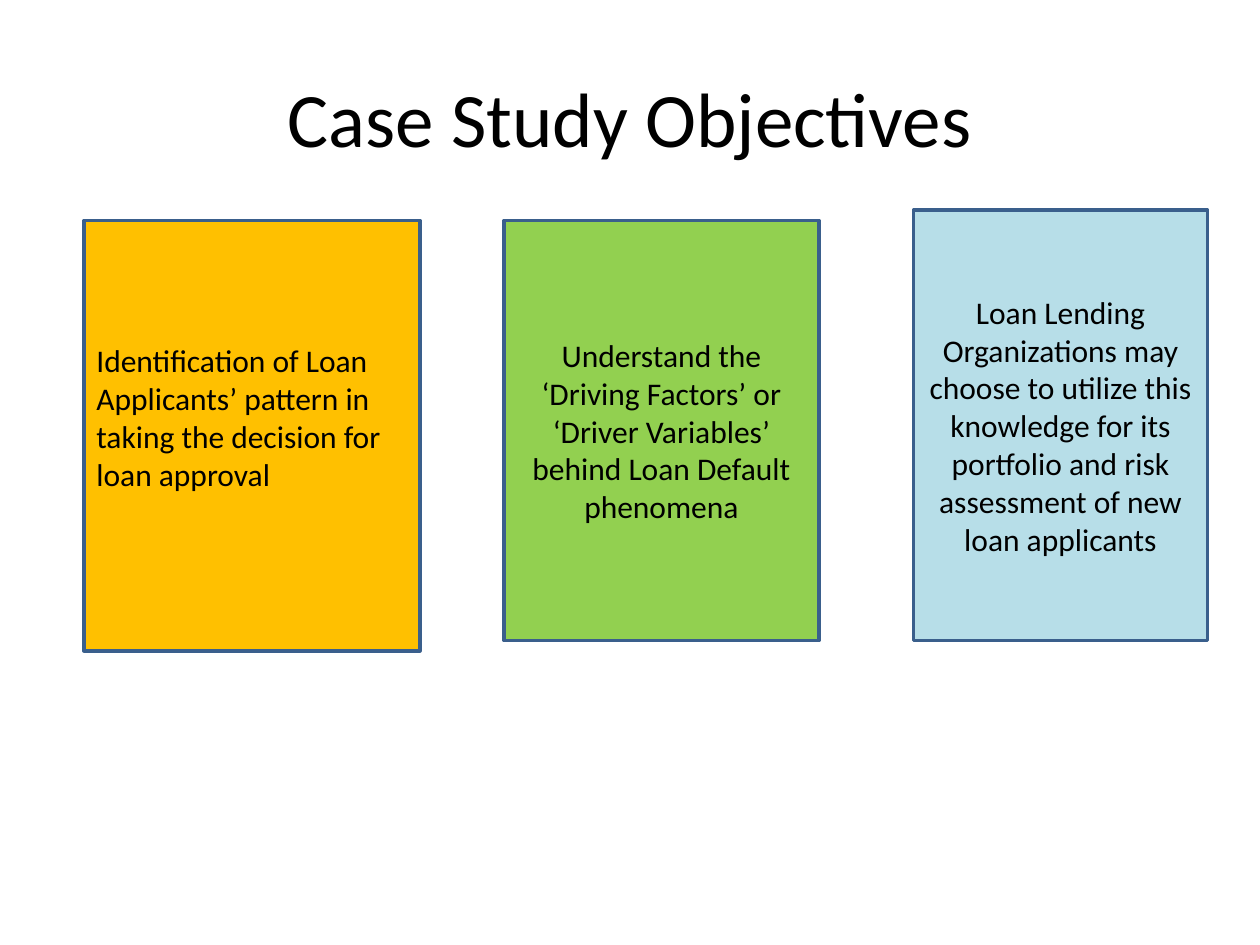
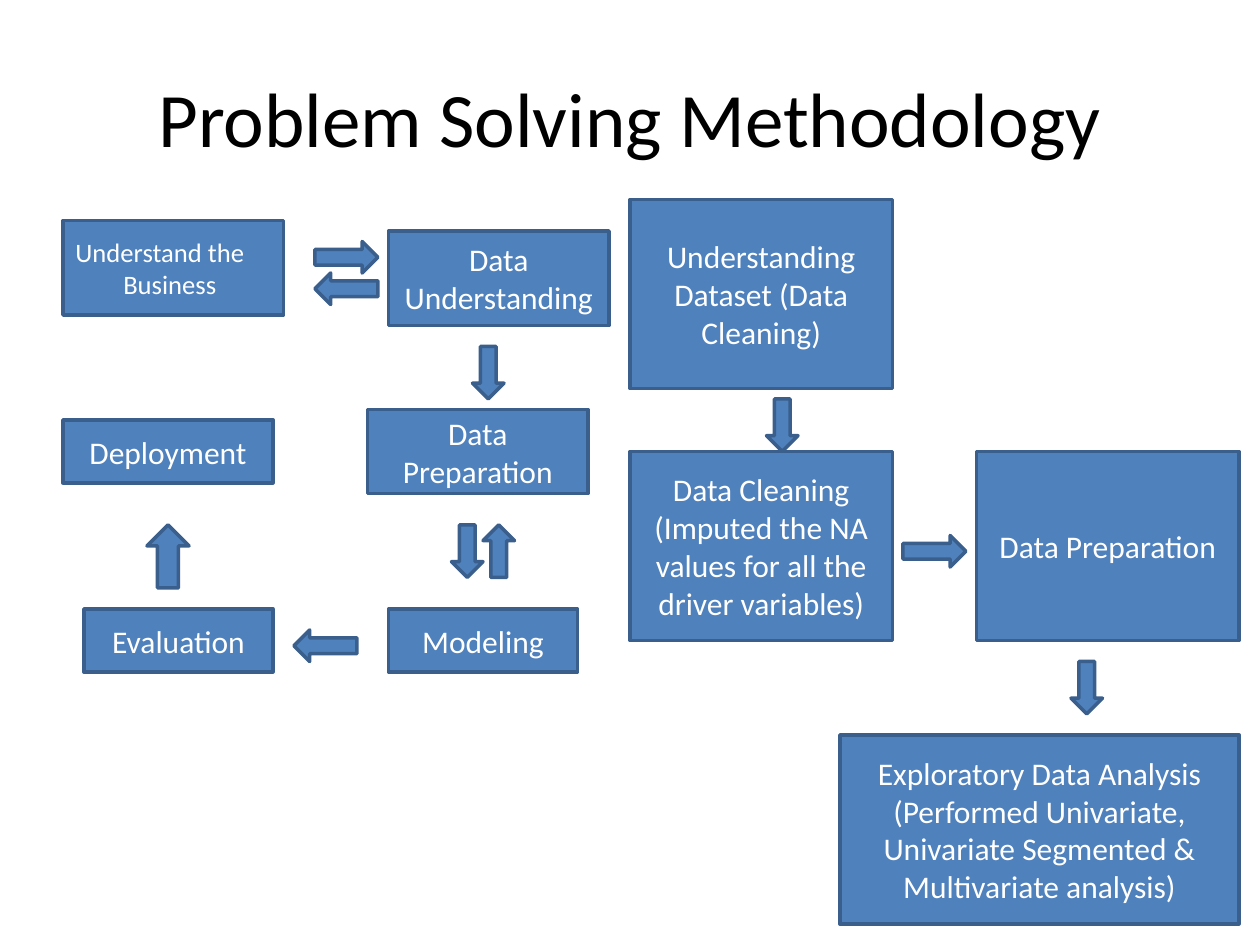
from pptx import Presentation
from pptx.dml.color import RGBColor
from pptx.enum.shapes import MSO_SHAPE
from pptx.enum.text import MSO_ANCHOR, PP_ALIGN
from pptx.util import Inches, Pt

BLACK = RGBColor(0x00, 0x00, 0x00)
WHITE = RGBColor(0xFF, 0xFF, 0xFF)
BLUE = RGBColor(0x4F, 0x81, 0xBD)
EDGE = RGBColor(0x3A, 0x5F, 0x8C)
AMBER = RGBColor(0xFF, 0xC0, 0x00)
GREEN = RGBColor(0x92, 0xD0, 0x50)
AQUA = RGBColor(0xB7, 0xDE, 0xE8)
RECT = MSO_SHAPE.RECTANGLE
RIGHT = MSO_SHAPE.RIGHT_ARROW
LEFT = MSO_SHAPE.LEFT_ARROW
UP = MSO_SHAPE.UP_ARROW
DOWN = MSO_SHAPE.DOWN_ARROW
MIDDLE = MSO_ANCHOR.MIDDLE
CENTER = PP_ALIGN.CENTER
START = PP_ALIGN.LEFT
FONT = "Calibri"

deck = Presentation()
deck.slide_width = Inches(10)
deck.slide_height = Inches(7.5)
UNIT = deck.slide_width // 120


def write(shape, text, size=18, color=WHITE, align=CENTER):
    frame = shape.text_frame
    frame.word_wrap = True
    frame.vertical_anchor = MIDDLE
    frame.text = text
    for para in frame.paragraphs:
        para.alignment = align
        para.font.size = Pt(size)
        para.font.name = FONT
        para.font.color.rgb = color


def draw(slide, kind, col, row, wide, high, fill=BLUE):
    shape = slide.shapes.add_shape(kind, *(n * UNIT for n in (col, row, wide, high)))
    shape.shadow.inherit = False
    shape.fill.solid()
    shape.fill.fore_color.rgb = fill
    shape.line.color.rgb = EDGE
    shape.line.width = Pt(2)
    return shape


slides = []
for name in ("Case Study Objectives", "Problem Solving Methodology"):
    slide = deck.slides.add_slide(deck.slide_layouts[5])
    title = slide.shapes.title
    title.left, title.top = Inches(0.5), Inches(0.3)
    title.width, title.height = Inches(9), Inches(1.25)
    write(title, name, size=44, color=BLACK)
    slides.append(slide)
goals, method = slides

cards = [
    (48, 21, 30, 40, GREEN, CENTER, 0.05,
     "Understand the ‘Driving Factors’ or ‘Driver Variables’ behind Loan Default phenomena"),
    (87, 20, 28, 41, AQUA, CENTER, 0.05,
     "Loan Lending Organizations may choose to utilize this knowledge "
     "for its portfolio and risk assessment of new loan applicants"),
    (8, 21, 32, 41, AMBER, START, 0.35,
     "Identification of Loan Applicants’ pattern in taking the decision for loan approval"),
]
for col, row, wide, high, fill, align, foot, text in cards:
    card = draw(goals, RECT, col, row, wide, high, fill)
    write(card, text, color=BLACK, align=align)
    card.text_frame.margin_bottom = Inches(foot)

start = draw(method, RECT, 6, 21, 21, 9)
write(start, "Understand the Business", size=15.2, align=START)
para = start.text_frame.paragraphs[0]
para.space_before = Pt(3)
props = para._p.get_or_add_pPr()
props.set("marL", str(Inches(0.38)))
props.set("indent", str(Inches(-0.38)))

steps = [
    (37, 22, 21, 9, "Data Understanding"),
    (35, 39, 21, 8, "Data Preparation"),
    (37, 58, 18, 6, "Modeling"),
    (8, 58, 18, 6, "Evaluation"),
    (6, 40, 20, 6, "Deployment"),
    (60, 19, 25, 18, "Understanding Dataset (Data Cleaning)"),
    (60, 43, 25, 18,
     "Data Cleaning\n(Imputed the NA values for all the driver variables)"),
    (93, 43, 25, 18, "Data Preparation"),
    (80, 70, 38, 18,
     "Exploratory Data Analysis (Performed Univariate, "
     "Univariate Segmented & Multivariate analysis)"),
]
for *cell, text in steps:
    write(draw(method, RECT, *cell), text)

for kind, col, row in [(RIGHT, 30, 23), (LEFT, 30, 26), (LEFT, 28, 60), (RIGHT, 86, 51)]:
    draw(method, kind, col, row, 6, 3)
for kind, col, row in [(DOWN, 45, 33), (DOWN, 43, 50), (UP, 46, 50),
                       (DOWN, 73, 38), (DOWN, 102, 63)]:
    draw(method, kind, col, row, 3, 5)
draw(method, UP, 14, 50, 4, 6)

deck.save("out.pptx")
